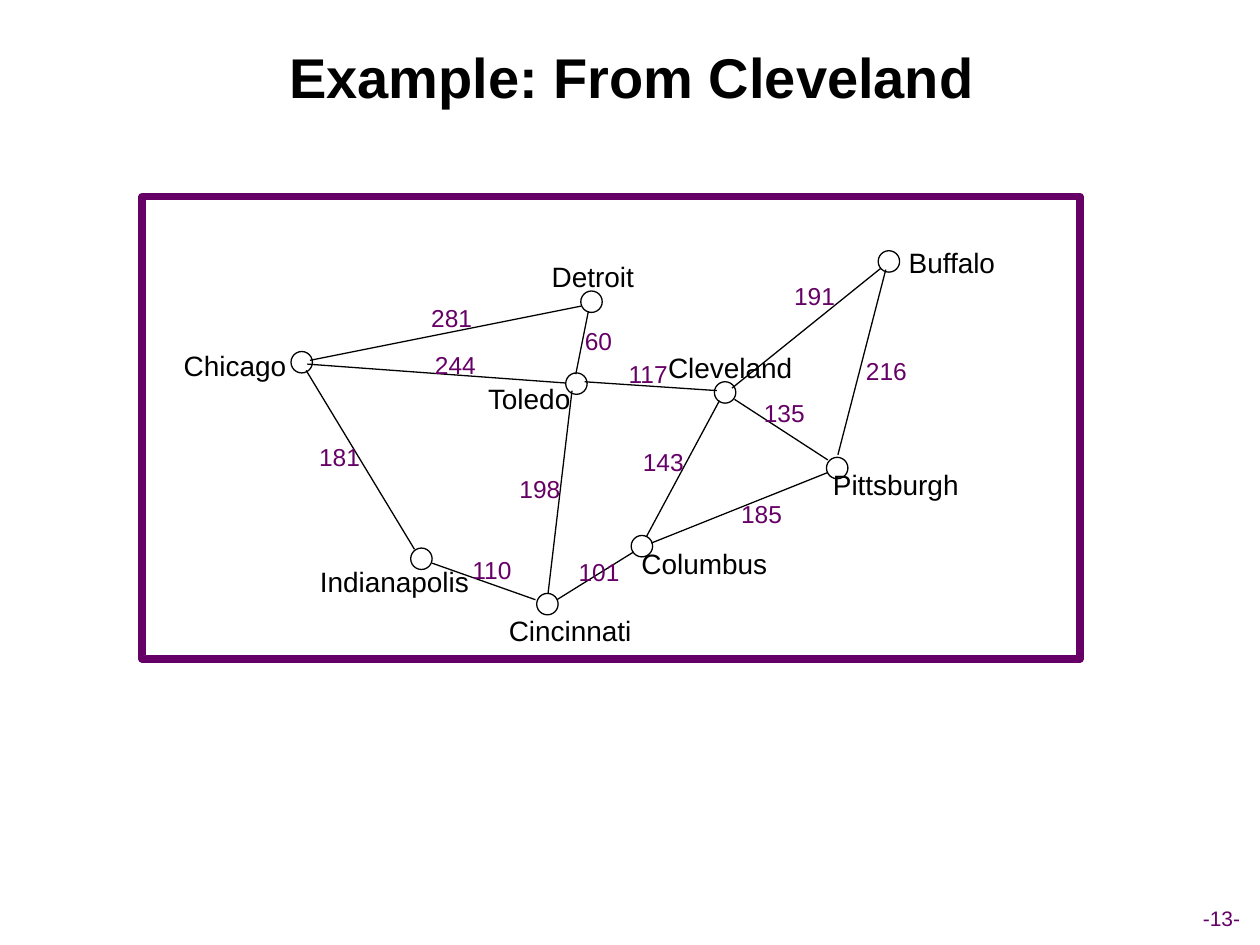
from pptx import Presentation
from pptx.dml.color import RGBColor
from pptx.enum.shapes import MSO_CONNECTOR, MSO_SHAPE
from pptx.enum.text import MSO_ANCHOR, MSO_AUTO_SIZE, PP_ALIGN
from pptx.oxml.ns import qn
from pptx.util import Inches, Pt
from lxml.etree import SubElement

BLACK = "000000"
PURPLE = "660066"
FONT = "Arial"
NODE = 0.17

CITIES = [
    ("Detroit", (4.61, 2.31), (4.28, 2.01, 0.85)),
    ("Cleveland", (5.67, 3.03), (5.2, 2.73, 1.19)),
    ("Columbus", (5.01, 4.25), (4.99, 4.29, 1.2)),
    ("Cincinnati", (4.26, 4.71), (3.94, 4.82, 1.17)),
    ("Pittsburgh", (6.56, 3.63), (6.51, 3.66, 1.2)),
    ("Buffalo", (6.97, 1.99), (7.11, 1.9, 0.89)),
    ("Chicago", (2.31, 2.79), (1.36, 2.72, 1.01)),
    ("Indianapolis", (3.26, 4.35), (2.44, 4.43, 1.38)),
    ("Toledo", (4.49, 2.96), (3.76, 2.98, 0.88)),
]

ROADS = [
    ("117", (5.69, 3.1), (4.64, 3.03), (4.88, 2.8, 0.53)),
    ("191", (5.81, 3.08), (6.99, 2.13), (6.2, 2.18, 0.53)),
    ("135", (6.57, 3.65), (5.83, 3.17), (5.96, 3.11, 0.53)),
    ("281", (4.61, 2.43), (2.46, 2.86), (3.32, 2.36, 0.53)),
    ("143", (5.13, 4.26), (5.71, 3.18), (5, 3.5, 0.53)),
    ("110", (4.25, 4.76), (3.43, 4.47), (3.64, 4.36, 0.53)),
    ("101", (5.03, 4.38), (4.42, 4.76), (4.49, 4.37, 0.53)),
    ("181", (3.29, 4.36), (2.43, 2.94), (2.43, 3.46, 0.53)),
    ("216", (6.65, 3.61), (7.03, 2.14), (6.77, 2.78, 0.53)),
    ("185", (6.57, 3.75), (5.17, 4.31), (5.78, 3.91, 0.53)),
    ("60", (4.67, 2.47), (4.57, 2.97), (4.54, 2.54, 0.42)),
    ("198", (4.35, 4.71), (4.54, 3.1), (4.02, 3.71, 0.53)),
    ("244", (2.44, 2.89), (4.49, 3.04), (3.35, 2.73, 0.53)),
]


def rgb(value):
    return RGBColor.from_string(value)


class Map:
    """Draws the parts of a road map on one slide in a shared style."""

    def __init__(self, slide):
        self.s = slide

    def format(self, tf, text, size, color, bold=False):
        tf.text = text
        p = tf.paragraphs[0]
        p.alignment = PP_ALIGN.CENTER
        font = p.runs[0].font
        font.name, font.size, font.bold = FONT, Pt(size), bold
        font.color.rgb = rgb(color)

    def title(self, text, x, y, w, h):
        sp = self.s.shapes.title
        sp.left, sp.top, sp.width, sp.height = map(Inches, (x, y, w, h))
        sp.text_frame.vertical_anchor = MSO_ANCHOR.MIDDLE
        self.format(sp.text_frame, text, 32, BLACK, True)

    def label(self, text, x, y, w, h, size, color, anchor=MSO_ANCHOR.TOP):
        tf = self.s.shapes.add_textbox(*map(Inches, (x, y, w, h))).text_frame
        tf.word_wrap = False
        tf.auto_size = MSO_AUTO_SIZE.SHAPE_TO_FIT_TEXT
        tf.vertical_anchor = anchor
        self.format(tf, text, size, color)

    def outline(self, kind, x, y, w, h, color, width):
        sp = self.s.shapes.add_shape(kind, *map(Inches, (x, y, w, h)))
        sp.shadow.inherit = False
        sp.fill.background()
        sp.line.color.rgb = rgb(color)
        sp.line.width = Pt(width)

    def node(self, x, y):
        self.outline(MSO_SHAPE.OVAL, x, y, NODE, NODE, BLACK, 0.75)

    def road(self, start, end):
        line = self.s.shapes.add_connector(
            MSO_CONNECTOR.STRAIGHT, *map(Inches, (*start, *end)))
        line.line.color.rgb = rgb(BLACK)
        line.line.width = Pt(0.75)
        SubElement(line._element.spPr, qn("a:effectLst"))


def main():
    prs = Presentation()
    prs.slide_width, prs.slide_height = Inches(10), Inches(7.5)
    s = prs.slides.add_slide(prs.slide_layouts[5])
    road_map = Map(s)
    road_map.title("Example: From Cleveland", 0.38, 0.13, 9.27, 0.95)
    for _, node, _ in CITIES:
        road_map.node(*node)
    for _, start, end, _ in ROADS:
        road_map.road(start, end)
    for name, _, place in CITIES:
        road_map.label(name, *place, 0.37, 16, BLACK)
    for miles, _, _, place in ROADS:
        road_map.label(miles, *place, 0.33, 14, PURPLE)
    road_map.outline(MSO_SHAPE.RECTANGLE, 1.13, 1.56, 7.44, 3.67, PURPLE, 4.5)
    road_map.label("-13-", 9.16, 7.14, 1.07, 0.3, 12, PURPLE, MSO_ANCHOR.MIDDLE)
    prs.save("out.pptx")


if __name__ == "__main__":
    main()
